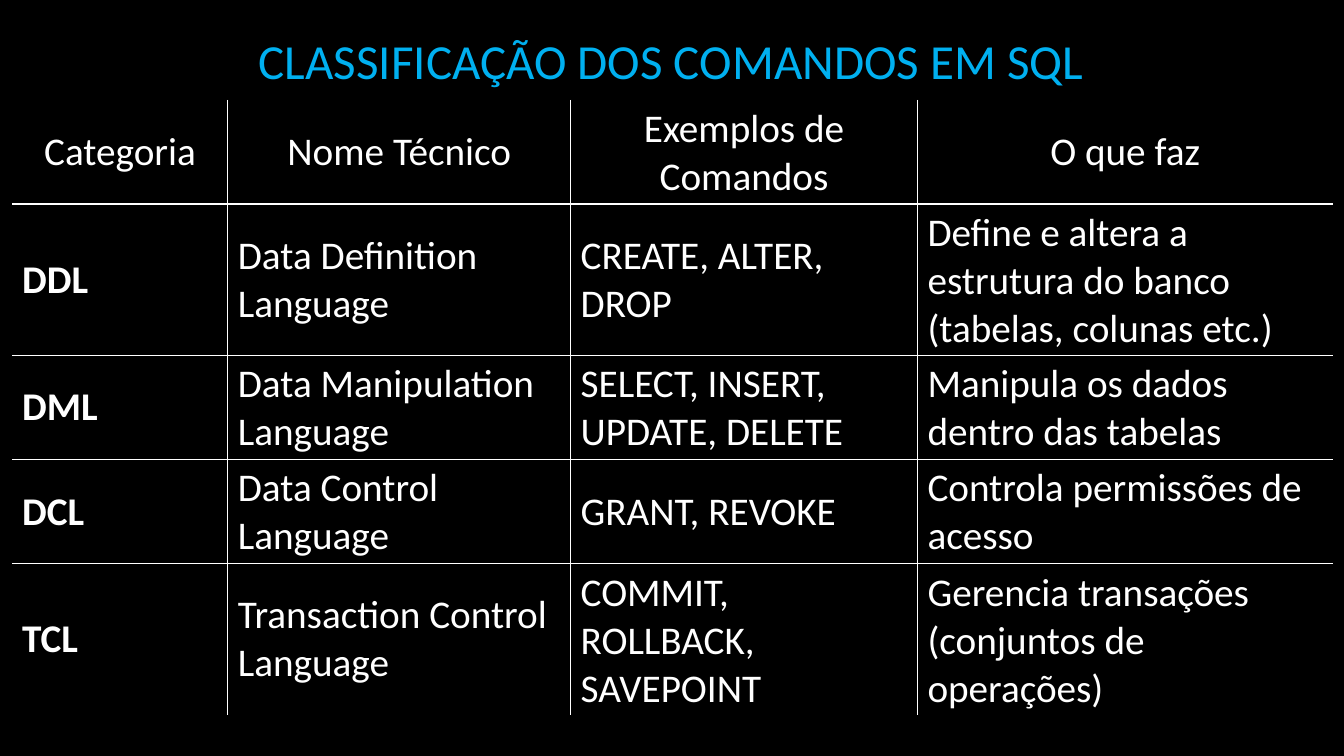
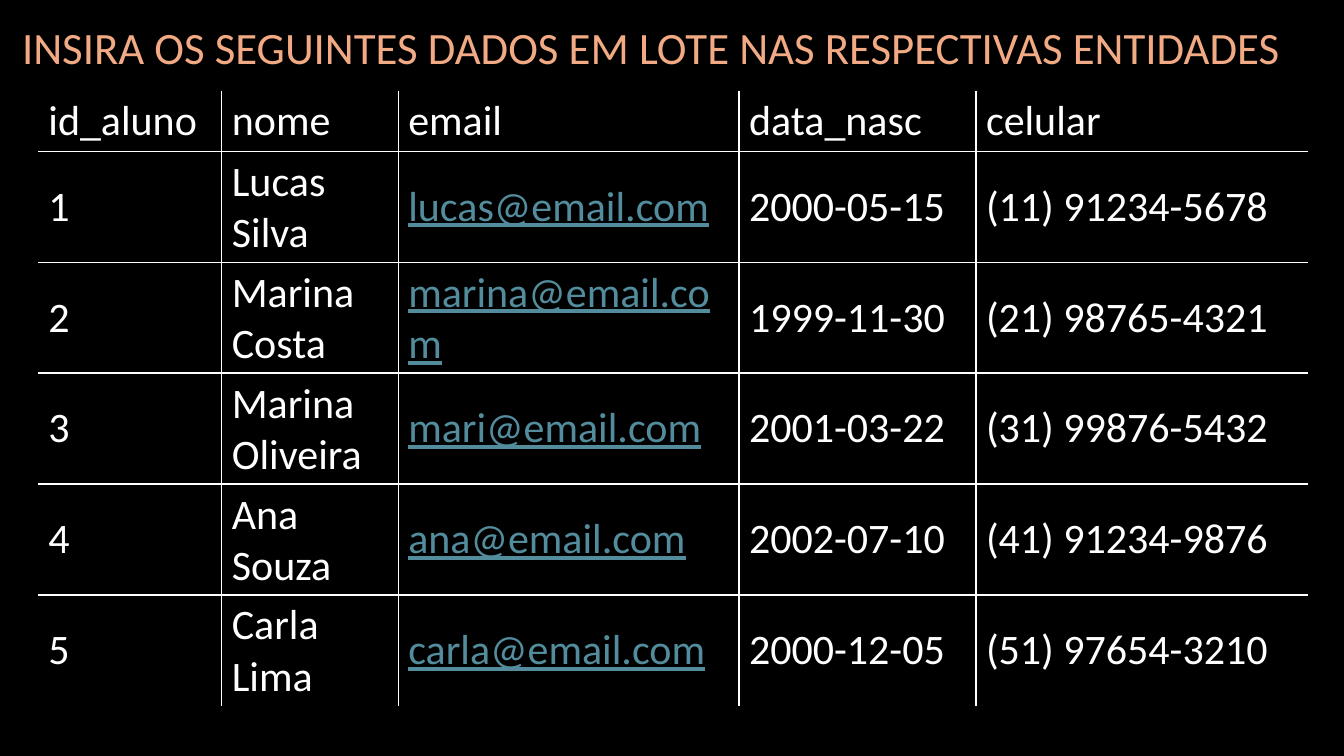
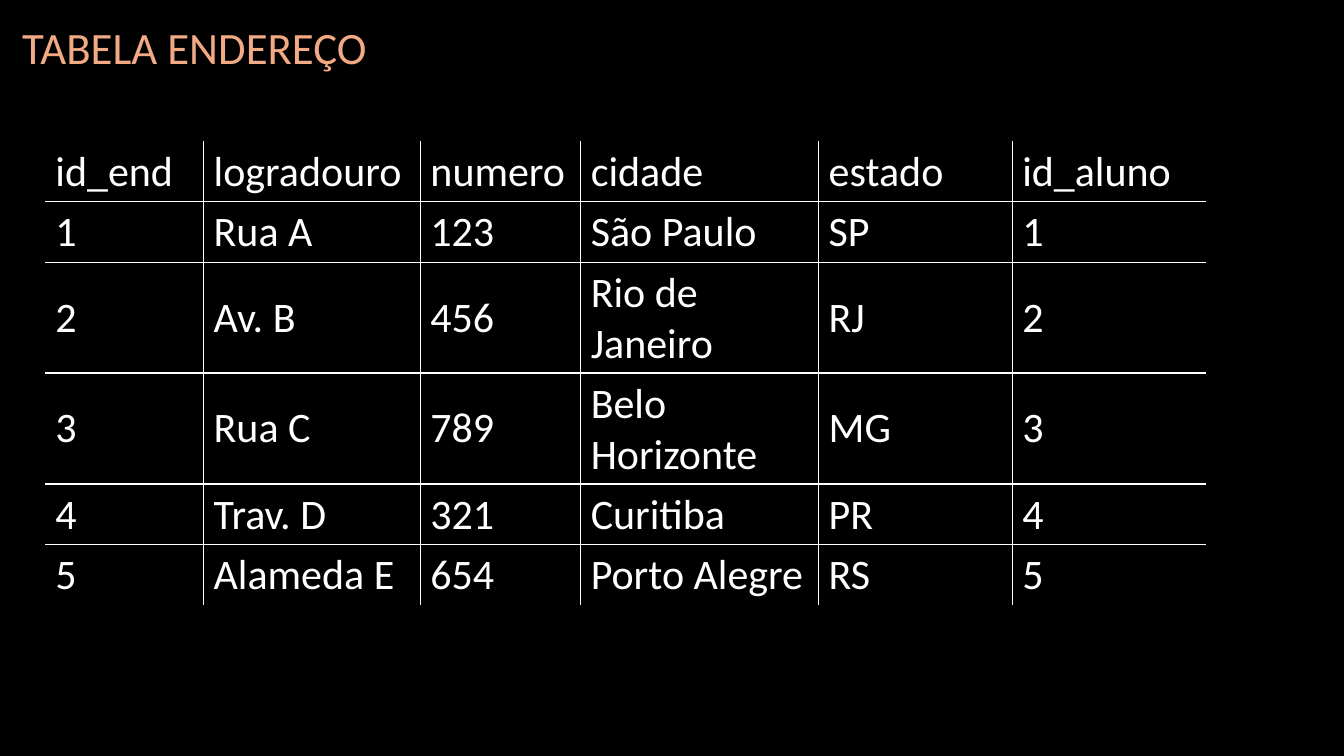
"""Builds three slides on SQL commands and sample data tables."""
from lxml import etree
from pptx import Presentation
from pptx.dml.color import RGBColor
from pptx.enum.text import MSO_ANCHOR as ANCHOR, MSO_AUTO_SIZE as AUTO, PP_ALIGN as ALIGN
from pptx.oxml.ns import qn
from pptx.util import Inches, Pt

BLACK = RGBColor(0x00, 0x00, 0x00)
WHITE = RGBColor(0xFF, 0xFF, 0xFF)
BLUE = RGBColor(0x00, 0xB0, 0xF0)
PEACH = RGBColor(0xF2, 0xAA, 0x84)
TEAL = RGBColor(0x53, 0x8D, 0x9D)

COMMANDS = [
    ["Categoria", "Nome Técnico", "Exemplos de Comandos", "O que faz"],
    ["DDL", "Data Definition Language", "CREATE, ALTER, DROP",
     "Define e altera a estrutura do banco (tabelas, colunas etc.)"],
    ["DML", "Data Manipulation Language", "SELECT, INSERT, UPDATE, DELETE",
     "Manipula os dados dentro das tabelas"],
    ["DCL", "Data Control Language", "GRANT, REVOKE", "Controla permissões de acesso"],
    ["TCL", "Transaction Control Language", "COMMIT, ROLLBACK, SAVEPOINT",
     "Gerencia transações (conjuntos de operações)"],
]
STUDENTS = [
    ["id_aluno", "nome", "email", "data_nasc", "celular"],
    ["1", "Lucas Silva", "lucas@email.com", "2000-05-15", "(11) 91234-5678"],
    ["2", "Marina Costa", "marina@email.com", "1999-11-30", "(21) 98765-4321"],
    ["3", "Marina Oliveira", "mari@email.com", "2001-03-22", "(31) 99876-5432"],
    ["4", "Ana Souza", "ana@email.com", "2002-07-10", "(41) 91234-9876"],
    ["5", "Carla Lima", "carla@email.com", "2000-12-05", "(51) 97654-3210"],
]
ADDRESSES = [
    ["id_end", "logradouro", "numero", "cidade", "estado", "id_aluno"],
    ["1", "Rua A", "123", "São Paulo", "SP", "1"],
    ["2", "Av. B", "456", "Rio de Janeiro", "RJ", "2"],
    ["3", "Rua C", "789", "Belo Horizonte", "MG", "3"],
    ["4", "Trav. D", "321", "Curitiba", "PR", "4"],
    ["5", "Alameda E", "654", "Porto Alegre", "RS", "5"],
]


class Deck:
    """Holds the shared style and the current slide."""

    font = "Calibri"

    def __init__(self):
        self.prs = Presentation()
        self.prs.slide_width, self.prs.slide_height = Inches(13.33), Inches(7.5)

    def slide(self):
        self.s = self.prs.slides.add_slide(self.prs.slide_layouts[6])
        fill = self.s.background.fill
        fill.solid()
        fill.fore_color.rgb = BLACK

    def add_text(self, tf, text, color, align=ALIGN.LEFT, **fmt):
        p = tf.paragraphs[0]
        p.alignment = align
        r = p.add_run()
        r.text = text
        r.font.color.rgb = color
        for name, value in {"name": self.font, "bold": False, **fmt}.items():
            setattr(r.font, name, value)
        return p

    def title(self, text, top=0.15, height=0.64, size=32, color=PEACH,
              align=ALIGN.LEFT, spacing=1.0):
        sp = self.s.shapes.add_textbox(Inches(0.12), Inches(top), Inches(13.08), Inches(height))
        tf = sp.text_frame
        tf.word_wrap = True
        tf.auto_size = AUTO.SHAPE_TO_FIT_TEXT
        self.add_text(tf, text, color, align, size=Pt(size)).line_spacing = spacing

    def borders(self, cell, inner):
        tcPr = cell._tc.get_or_add_tcPr()
        for i, (side, drawn) in enumerate(inner.items()):
            ln = etree.Element(qn("a:ln" + side), w=str(Pt(1)))
            if drawn:
                fill = etree.SubElement(ln, qn("a:solidFill"))
                etree.SubElement(fill, qn("a:srgbClr"), val=str(WHITE))
            else:
                etree.SubElement(ln, qn("a:noFill"))
            tcPr.insert(i, ln)

    def table(self, rows, left, top, widths, lines, size=30, head_align=ALIGN.LEFT,
              bold_col=None, link_col=None):
        heights = [Inches(n * size / 60 + 0.1) for n in lines]
        n_rows, n_cols = len(rows), len(widths)
        tbl = self.s.shapes.add_table(n_rows, n_cols, Inches(left), Inches(top),
                                      Inches(sum(widths)), sum(heights)).table
        tbl.first_row = tbl.horz_banding = False
        for col, width in zip(tbl.columns, widths):
            col.width = Inches(width)
        for row, height in zip(tbl.rows, heights):
            row.height = height
        for i, row in enumerate(rows):
            for j, text in enumerate(row):
                cell = tbl.cell(i, j)
                cell.vertical_anchor = ANCHOR.MIDDLE
                cell.fill.background()
                self.borders(cell, {"L": j > 0, "R": j < n_cols - 1,
                                    "T": i > 0, "B": i < n_rows - 1})
                link = i > 0 and j == link_col
                self.add_text(cell.text_frame, text, TEAL if link else WHITE,
                              ALIGN.LEFT if i else head_align, size=Pt(size),
                              bold=i > 0 and j == bold_col, underline=link)


def main():
    deck = Deck()

    deck.slide()
    deck.title("CLASSIFICAÇÃO DOS COMANDOS EM SQL", top=-0.04, height=0.89, size=35,
               color=BLUE, align=ALIGN.CENTER, spacing=1.5)
    deck.table(COMMANDS, 0.12, 0.99, [2.14, 3.4, 3.44, 4.12], [2, 3, 2, 2, 3],
               size=28, head_align=ALIGN.CENTER, bold_col=0)

    deck.slide()
    deck.title("INSIRA OS SEGUINTES DADOS EM LOTE NAS RESPECTIVAS ENTIDADES")
    deck.table(STUDENTS, 0.38, 0.9, [1.82, 1.75, 3.38, 2.35, 3.29], [1, 2, 2, 2, 2, 2],
               link_col=2)

    deck.slide()
    deck.title("TABELA ENDEREÇO")
    deck.table(ADDRESSES, 0.45, 1.4, [1.57, 2.15, 1.59, 2.36, 1.92, 1.92],
               [1, 1, 2, 2, 1, 1])

    deck.prs.save("out.pptx")


if __name__ == "__main__":
    main()
